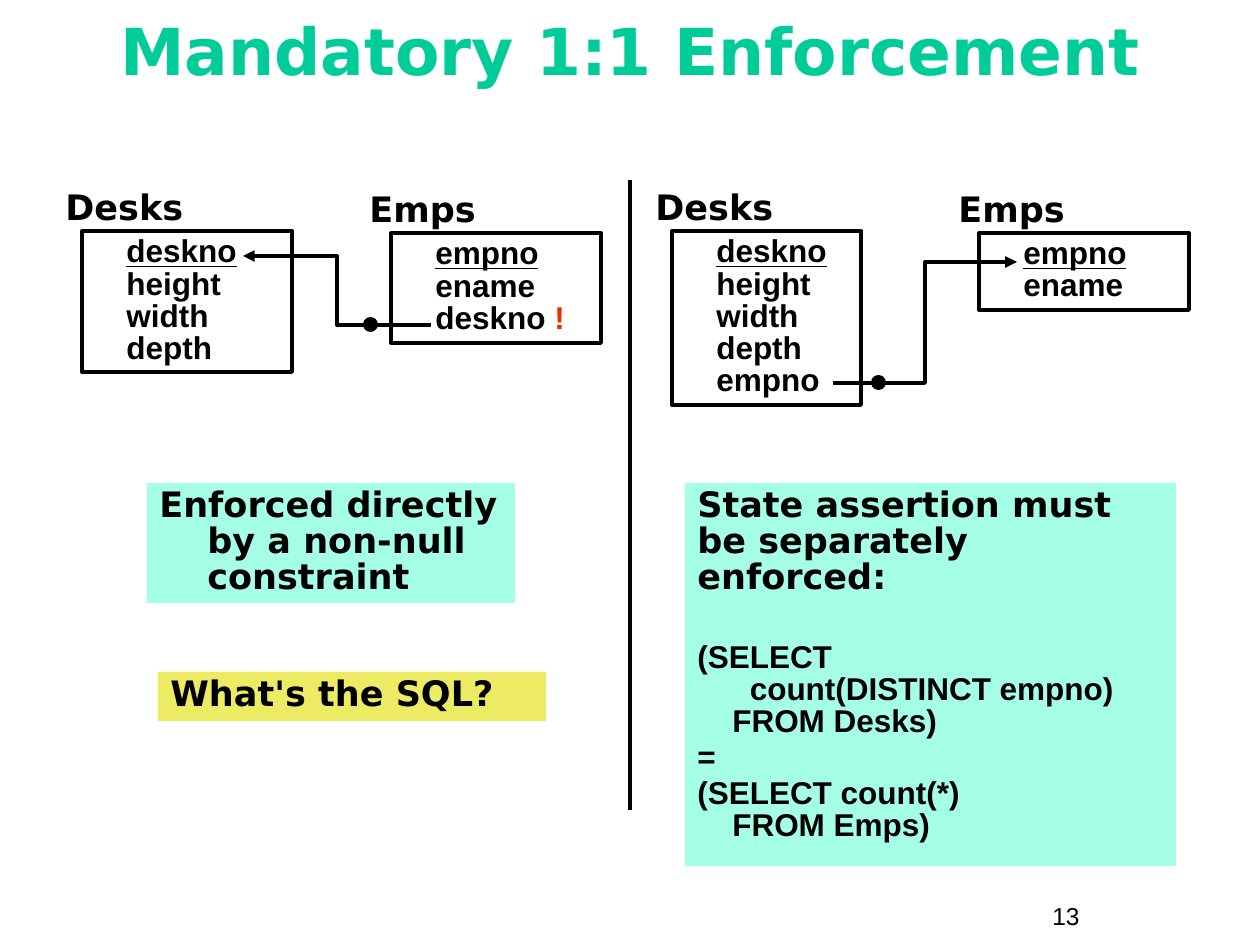
from pptx import Presentation
from pptx.dml.color import RGBColor
from pptx.enum.shapes import MSO_CONNECTOR, MSO_SHAPE
from pptx.enum.text import MSO_ANCHOR, PP_ALIGN
from pptx.oxml.ns import qn
from pptx.util import Pt
from lxml import etree

PX = 914400 / 126
BLACK = RGBColor(0x00, 0x00, 0x00)
GREEN = RGBColor(0x00, 0xCC, 0x99)
MINT = RGBColor(0xA5, 0xFF, 0xE7)
YELLOW = RGBColor(0xED, 0xEA, 0x63)
RED = RGBColor(0xEA, 0x2D, 0x00)

HEADING = {"name": "DejaVu Sans", "size": Pt(20), "bold": True}
BODY = {"name": "Arial", "size": Pt(18), "bold": True}
TITLE = {"name": "DejaVu Sans", "size": Pt(37), "bold": True}
NUMBER = {"name": "Arial", "size": Pt(14), "bold": False}

prs = Presentation()
prs.slide_width, prs.slide_height = round(1260 * PX), round(945 * PX)
s = prs.slides.add_slide(prs.slide_layouts[6])


def add_box(box, fill=None, line=None, shape=None):
    pos = [round(v * PX) for v in box]
    if shape is None:
        sp = s.shapes.add_textbox(*pos)
    else:
        sp = s.shapes.add_shape(shape, *pos)
        sp.shadow.inherit = False
        for part, color in ((sp.fill, fill), (sp.line.fill, line)):
            if color is None:
                part.background()
            else:
                part.solid()
                part.fore_color.rgb = color
        if line is not None:
            sp.line.width = Pt(2.25)
    sp.text_frame.word_wrap = True
    sp.text_frame.vertical_anchor = MSO_ANCHOR.TOP
    return sp


def add_lines(sp, lines, fmt, spacing=0.85, color=BLACK, left=0, hang=0, align=PP_ALIGN.LEFT):
    tf = sp.text_frame
    for text in lines:
        p = tf.paragraphs[0] if not tf.paragraphs[0].runs else tf.add_paragraph()
        p.alignment, p.line_spacing = align, spacing
        pPr = p._p.get_or_add_pPr()
        pPr.set("marL", str(round(left * PX)))
        pPr.set("indent", str(round(-hang * PX)))
        r = p.add_run()
        r.text = text
        for name, value in fmt.items():
            setattr(r.font, name, value)
        r.font.color.rgb = color
    return tf.paragraphs


title = add_box((42, 15, 1176, 84))
title.text_frame.vertical_anchor = MSO_ANCHOR.MIDDLE
add_lines(title, ["Mandatory 1:1 Enforcement"], TITLE, 0.8, GREEN, align=PP_ALIGN.CENTER)
add_lines(add_box((1040, 895, 116, 43)), ["13"], NUMBER, 1.0)

tables = [
    ("Desks", (53, 179), (82, 231, 210, 141), ["deskno", "height", "width", "depth"]),
    ("Emps", (357, 181), (391, 233, 210, 110), ["empno", "ename", "deskno "]),
    ("Desks", (643, 179), (672, 231, 189, 174), ["deskno", "height", "width", "depth", "empno"]),
    ("Emps", (946, 181), (979, 233, 210, 77), ["empno", "ename"]),
]
for name, (x, y), box, columns in tables:
    add_lines(add_box((x, y, 271, 55)), [name], HEADING, 1.0)
    sp = add_box(box, line=BLACK, shape=MSO_SHAPE.RECTANGLE)
    ps = add_lines(sp, columns, BODY, left=32)
    ps[0].runs[0].font.underline = True
    if columns[-1] == "deskno ":
        r = ps[-1].add_run()
        r.text = "!"
        for attr, value in BODY.items():
            setattr(r.font, attr, value)
        r.font.color.rgb = RED

connectors = [
    (MSO_CONNECTOR.STRAIGHT, (630, 180, 630, 810)),
    (MSO_CONNECTOR.ELBOW, (431, 325, 243, 256)),
    (MSO_CONNECTOR.ELBOW, (833, 383, 1017, 262)),
]
for kind, ends in connectors:
    c = s.shapes.add_connector(kind, *[round(v * PX) for v in ends])
    c.line.color.rgb = BLACK
    c.line.width = Pt(2.25)
    if kind == MSO_CONNECTOR.ELBOW:
        etree.SubElement(c.line._get_or_add_ln(), qn("a:tailEnd"), type="triangle")
    etree.SubElement(c._element.spPr, qn("a:effectLst"))

for x, y in ((365, 319), (873, 377)):
    add_box((x, y, 11, 11), BLACK, BLACK, MSO_SHAPE.OVAL)

notes = [
    ((147, 483, 368, 120), MINT, "Enforced directly by a non-null constraint", 48),
    ((158, 672, 388, 49), YELLOW, "What's the SQL?", 48),
    ((685, 483, 491, 383), MINT, "State assertion must be separately enforced:", 0),
]
for box, fill, text, hang in notes:
    sp = add_box(box, fill, shape=MSO_SHAPE.RECTANGLE)
    add_lines(sp, [text], HEADING, left=hang, hang=hang)

sql = [
    "(SELECT",
    "      count(DISTINCT empno)",
    "    FROM Desks)",
    "=",
    "(SELECT count(*)",
    "    FROM Emps)",
]
ps = add_lines(sp, sql, BODY)
for i, gap in ((1, 26.5), (4, 2.2), (5, 2.2)):
    ps[i].space_before = Pt(gap)

prs.save("out.pptx")
